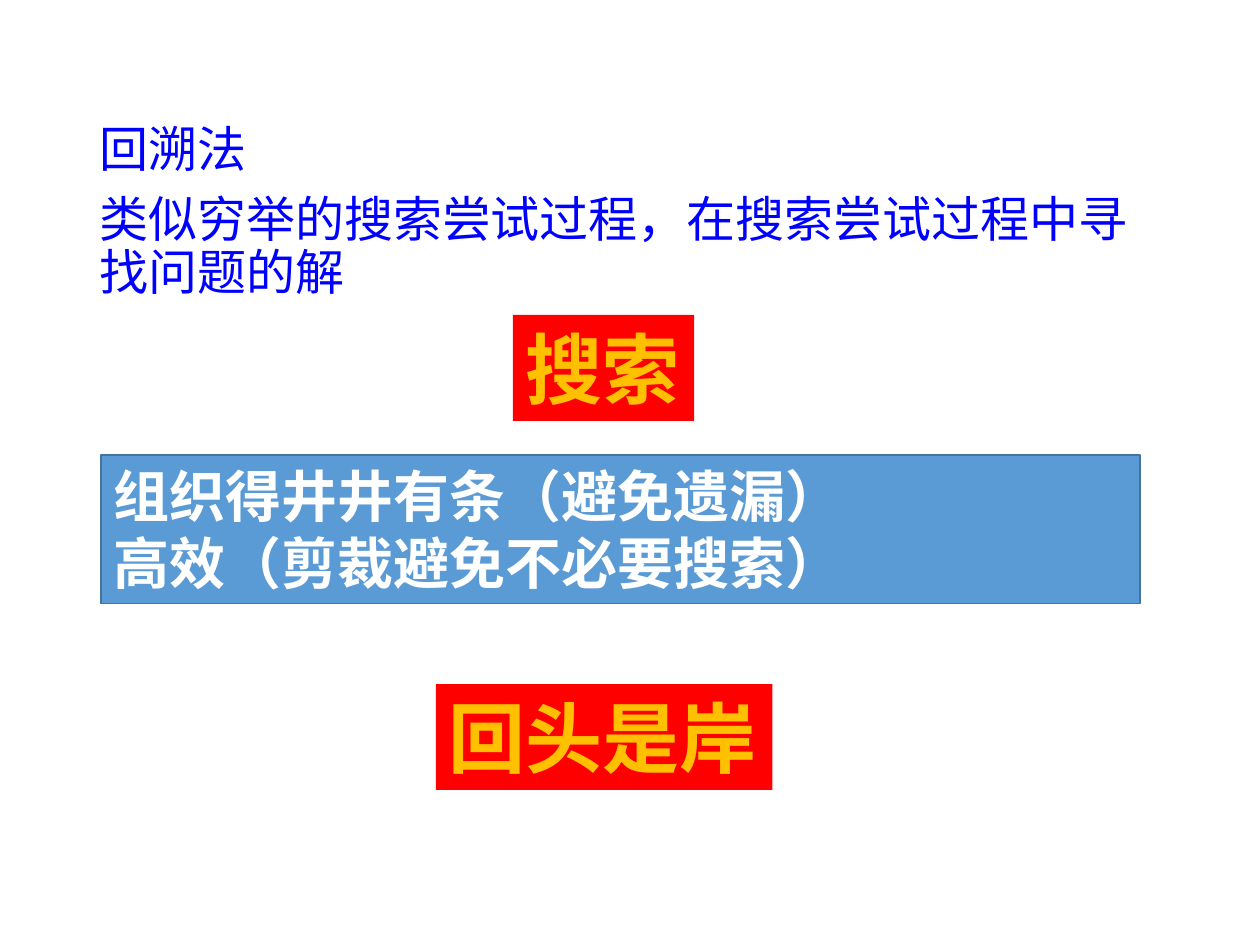
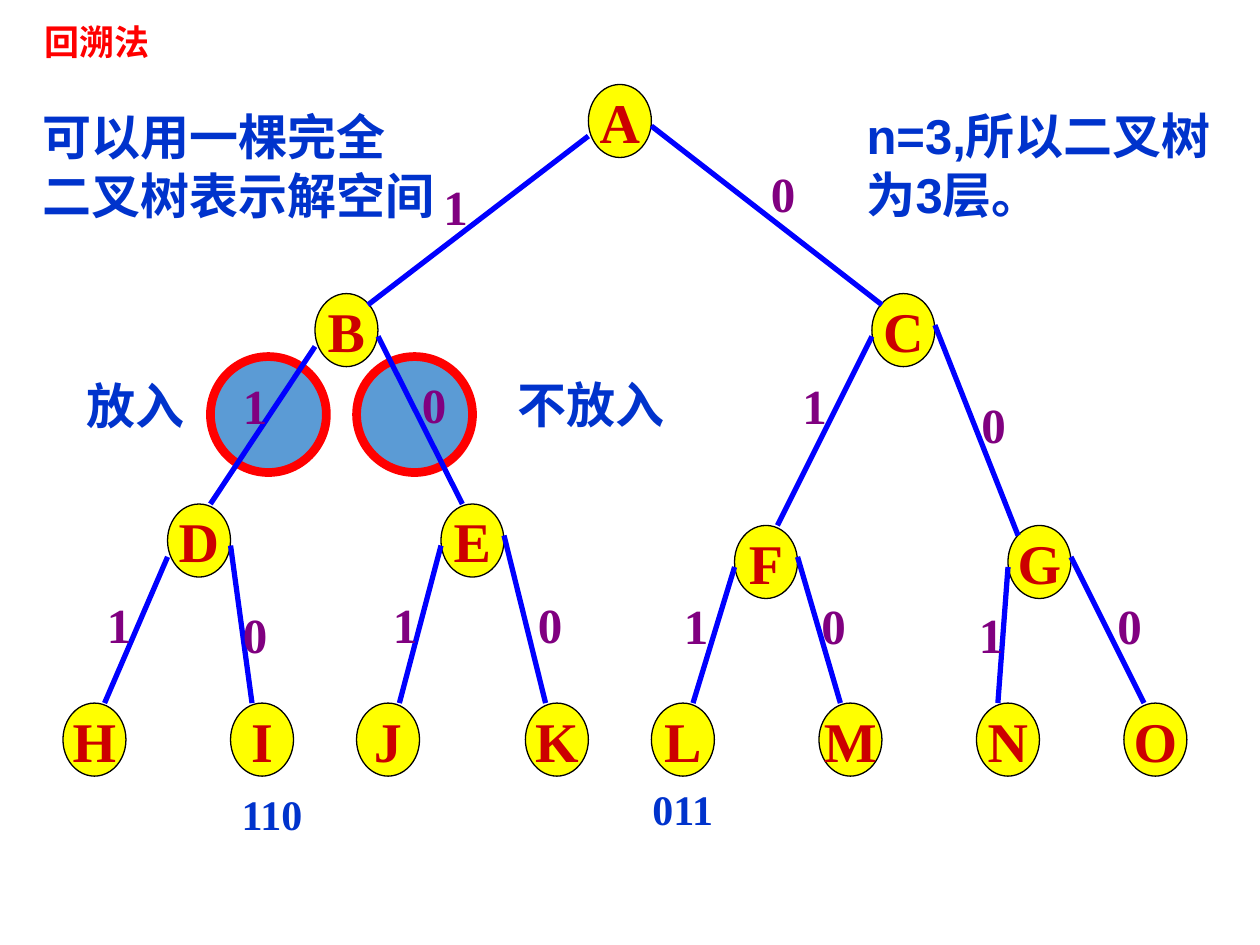
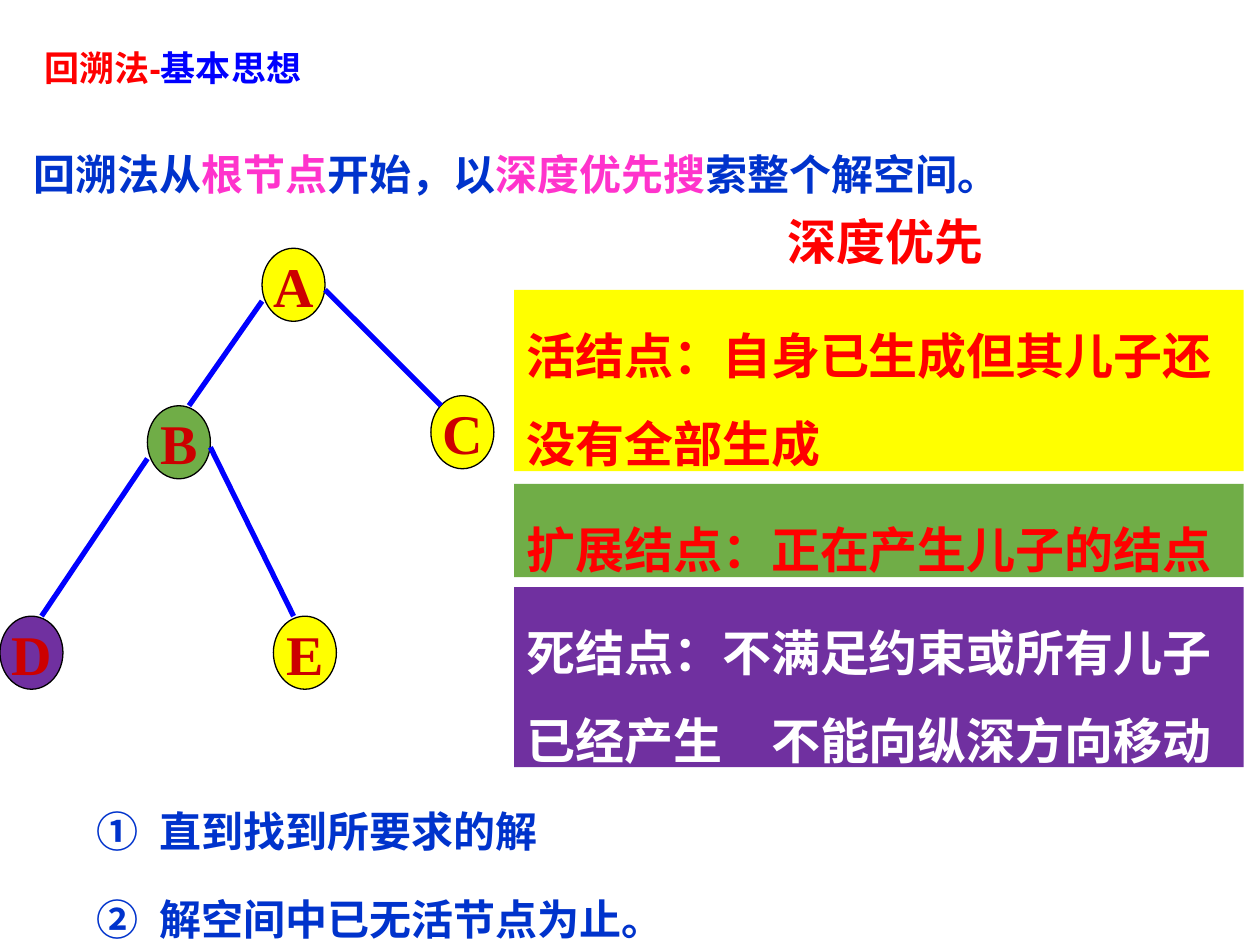
from dataclasses import dataclass, field

from lxml.etree import SubElement
from pptx import Presentation
from pptx.dml.color import RGBColor
from pptx.enum.shapes import MSO_CONNECTOR, MSO_SHAPE
from pptx.enum.text import MSO_ANCHOR, MSO_AUTO_SIZE, PP_ALIGN
from pptx.oxml.ns import qn
from pptx.util import Inches, Pt

HAN = "Noto Sans CJK SC"
SERIF = "Times New Roman"
RED, BLUE, NAVY, PINK = "FF0000", "0000FF", "0033CC", "FF33CC"
YELLOW, GOLD, GREEN, PURPLE = "FFFF00", "FFC000", "70AD47", "7030A0"
SKY, WHITE, BLACK = "5B9BD5", "FFFFFF", "000000"
NODE_W, NODE_H = 0.5, 0.58
BIT_W, BIT_H = 0.4, 0.57

Box = tuple[float, float, float, float]
Para = str | list[tuple[str, str]]


@dataclass
class Style:
    """Look of a piece of text."""
    size: int
    name: str
    color: str
    bold: bool = True
    para: dict = field(default_factory=dict)


@dataclass
class Node:
    """Tree node, placed by its top left corner."""
    name: str
    x: float
    y: float
    fill: str = YELLOW


@dataclass
class Edge:
    """Branch from the side of one node to the top of another."""
    top: str
    end: str
    drop: float
    reach: float
    sink: float = 0
    bit: tuple[float, float] | None = None


HEAD = Style(20, "Arial", RED, para={"alignment": PP_ALIGN.LEFT})
LEAD = Style(28, HAN, BLUE, False, {"line_spacing": 0.9, "space_before": Pt(10)})
SLOGAN = Style(44, "Calibri", GOLD)
POINT = Style(32, "Calibri", WHITE)
LETTER = Style(32, SERIF, "CC0000", para={"alignment": PP_ALIGN.CENTER})
BIT = Style(28, SERIF, "800080")
CODE = Style(24, SERIF, NAVY)
NOTE = Style(28, "Arial", NAVY)
ORDER = Style(28, "Arial", RED)
IDEA = Style(24, HAN, NAVY, para={"line_spacing": 1.75})
TERM = {"line_spacing": 1.5}


def rgb(code: str) -> RGBColor:
    """Turn a hex string into a colour."""
    return RGBColor.from_string(code)


def place(shape, box: Box) -> None:
    """Move and size a shape."""
    for key, value in zip(("left", "top", "width", "height"), box):
        setattr(shape, key, Inches(value))


def write(shape, paras: list[Para], style: Style, wrap: bool = True,
          grow: bool = True, anchor=MSO_ANCHOR.TOP) -> None:
    """Fill a shape with styled paragraphs."""
    frame = shape.text_frame
    frame.word_wrap = wrap
    frame.auto_size = MSO_AUTO_SIZE.SHAPE_TO_FIT_TEXT if grow else MSO_AUTO_SIZE.NONE
    frame.vertical_anchor = anchor
    for i, runs in enumerate(paras):
        para = frame.add_paragraph() if i else frame.paragraphs[0]
        for key, value in ({"alignment": PP_ALIGN.LEFT} | style.para).items():
            setattr(para, key, value)
        for text, color in [(runs, style.color)] if isinstance(runs, str) else runs:
            run = para.add_run()
            run.text = text
            look = {"size": Pt(style.size), "name": style.name, "bold": style.bold}
            for key, value in look.items():
                setattr(run.font, key, value)
            run.font.color.rgb = rgb(color)
            SubElement(run.font._element, qn("a:ea"), typeface=HAN)


def bullet(shape, indent: float, tag: str, **attrs: str) -> None:
    """Give every paragraph a hanging indent and a bullet kind."""
    for para in shape.text_frame.paragraphs:
        props = para._p.get_or_add_pPr()
        props.set("marL", str(Inches(indent)))
        props.set("indent", str(-Inches(indent)))
        SubElement(props, qn(tag), **attrs)


def text(slide, box: Box, paras: list[Para], style: Style, wrap: bool = True):
    """Add a text box."""
    shape = slide.shapes.add_textbox(*map(Inches, box))
    write(shape, paras, style, wrap)
    return shape


def block(slide, kind, box: Box, fill: str, line: str | None = None, width: float = 1):
    """Add a filled shape, outlined if a line colour is given."""
    shape = slide.shapes.add_shape(kind, *map(Inches, box))
    shape.shadow.inherit = False
    shape.fill.solid()
    shape.fill.fore_color.rgb = rgb(fill)
    if line:
        shape.line.color.rgb = rgb(line)
        shape.line.width = Pt(width)
    else:
        shape.line.fill.background()
    return shape


def title(slide, box: Box, runs: Para) -> None:
    """Move and fill the title placeholder."""
    place(slide.shapes.title, box)
    write(slide.shapes.title, [runs], HEAD)


def tree(slide, nodes: list[Node], edges: list[Edge]) -> None:
    """Draw nodes, then branches, then their bits."""
    spots = {node.name: node for node in nodes}
    for node in nodes:
        shape = block(slide, MSO_SHAPE.OVAL, (node.x, node.y, NODE_W, NODE_H),
                      node.fill, BLACK, 0.75)
        write(shape, [node.name], LETTER, False, False, MSO_ANCHOR.MIDDLE)
    for edge in edges:
        top, end = spots[edge.top], spots[edge.end]
        left = end.x < top.x or edge.reach > 0.3
        ends = (top.x + (0 if left else NODE_W), top.y + edge.drop,
                end.x + edge.reach, end.y + edge.sink)
        line = slide.shapes.add_connector(MSO_CONNECTOR.STRAIGHT, *map(Inches, ends))
        line.line.color.rgb = rgb(BLUE)
        line.line.width = Pt(3)
        SubElement(line._element.spPr, qn("a:effectLst"))
        if edge.bit:
            text(slide, (*edge.bit, BIT_W, BIT_H), ["1" if left else "0"], BIT, False)


def intro(deck) -> None:
    """Build the opening slide."""
    slide = deck.slides.add_slide(deck.slide_layouts[1])
    head = slide.shapes.title._element
    head.getparent().remove(head)
    body = slide.placeholders[1]
    place(body, (0.69, 0.94, 8.62, 1.7))
    write(body, ["回溯法", "类似穷举的搜索尝试过程，在搜索尝试过程中寻找问题的解"], LEAD, grow=False)
    bullet(body, 0, "a:buNone")
    points = block(slide, MSO_SHAPE.RECTANGLE, (0.8, 3.61, 8.25, 1.18), SKY, "43739E")
    write(points, ["组织得井井有条（避免遗漏）", "高效（剪裁避免不必要搜索）"], POINT)
    for word, box in (("搜索", (4.07, 2.5, 1.44, 0.84)),
                      ("回头是岸", (3.46, 5.43, 2.67, 0.84))):
        shape = block(slide, MSO_SHAPE.RECTANGLE, box, RED)
        write(shape, [word], SLOGAN, False)


def space(deck) -> None:
    """Build the solution space slide."""
    slide = deck.slides.add_slide(deck.slide_layouts[5])
    title(slide, (0.25, 0.11, 1.5, 0.43), "回溯法")
    for x in (2.83, 1.67):
        block(slide, MSO_SHAPE.OVAL, (x, 2.83, 0.92, 0.92), SKY, RED, 5)
    inner = [Node("A", 4.67, 0.67), Node("B", 2.5, 2.33), Node("C", 6.92, 2.33),
             Node("D", 1.33, 4), Node("E", 3.5, 4), Node("F", 5.83, 4.17),
             Node("G", 8, 4.17)]
    leaves = [Node(name, x, 5.58) for name, x in zip(
        "HIJKLMNO", (0.5, 1.83, 2.83, 4.17, 5.17, 6.5, 7.75, 8.92))]
    tree(slide, inner + leaves, [
        Edge("A", "B", 0.41, 0.42, 0.09, (3.42, 1.35)),
        Edge("A", "C", 0.33, 0.08, 0.09, (6.02, 1.25)),
        Edge("B", "D", 0.42, 0.34, bit=(1.83, 2.93)),
        Edge("B", "E", 0.34, 0.17, bit=(3.25, 2.92)),
        Edge("C", "F", 0.34, 0.34, bit=(6.27, 2.93)),
        Edge("C", "G", 0.25, 0.08, 0.08, (7.69, 3.08)),
        Edge("D", "H", 0.42, 0.33, bit=(0.75, 4.67)),
        Edge("D", "I", 0.33, 0.17, bit=(1.83, 4.75)),
        Edge("E", "J", 0.33, 0.34, bit=(3.02, 4.67)),
        Edge("E", "K", 0.25, 0.16, bit=(4.17, 4.67)),
        Edge("F", "L", 0.33, 0.33, bit=(5.33, 4.68)),
        Edge("F", "M", 0.25, 0.17, bit=(6.42, 4.68)),
        Edge("G", "N", 0.33, 0.17, bit=(7.67, 4.75)),
        Edge("G", "O", 0.25, 0.16, bit=(8.77, 4.68)),
    ])
    text(slide, (1.82, 6.21, 0.7, 0.5), ["110"], CODE, False)
    text(slide, (5.08, 6.17, 0.7, 0.5), ["011"], CODE, False)
    text(slide, (0.24, 0.8, 3.36, 1.04), ["可以用一棵完全", "二叉树表示解空间"], NOTE, False)
    text(slide, (6.78, 0.79, 2.97, 1.04), ["n=3,所以二叉树", "为3层。"], NOTE)
    text(slide, (0.59, 2.93, 0.99, 0.57), ["放入"], NOTE, False)
    text(slide, (4.01, 2.92, 1.39, 0.57), ["不放入"], NOTE, False)


def idea(deck) -> None:
    """Build the basic idea slide."""
    slide = deck.slides.add_slide(deck.slide_layouts[5])
    title(slide, (0.25, 0.32, 2.75, 0.43), [("回溯法-", RED), ("基本思想", BLUE)])
    nodes = [Node("A", 2.08, 1.97), Node("B", 1.17, 3.22, GREEN),
             Node("D", 0, 4.89, PURPLE), Node("E", 2.17, 4.89), Node("C", 3.42, 3.14)]
    tree(slide, nodes, [
        Edge("A", "B", 0.42, 0.33),
        Edge("B", "D", 0.42, 0.33),
        Edge("B", "E", 0.33, 0.16),
        Edge("A", "C", 0.33, 0.08, 0.08),
    ])
    text(slide, (6.15, 1.63, 2.42, 0.57), ["深度优先"], ORDER)
    text(slide, (0.17, 0.83, 9.33, 0.71), [[
        ("回溯法从", NAVY), ("根节点", PINK), ("开始，以", NAVY),
        ("深度优先搜", PINK), ("索整个解空间。", NAVY)]], IDEA)
    stops = text(slide, (0.67, 6.04, 5.42, 1.51),
                 ["直到找到所要求的解", "解空间中已无活节点为止。"], IDEA)
    bullet(stops, 0.5, "a:buAutoNum", type="circleNumDbPlain")
    for y, high, fill, color, term in (
            (2.3, 1.44, YELLOW, RED, "活结点：自身已生成但其儿子还没有全部生成"),
            (3.84, 0.74, GREEN, RED, "扩展结点：正在产生儿子的结点"),
            (4.66, 1.43, PURPLE, WHITE, "死结点：不满足约束或所有儿子已经产生　不能向纵深方向移动")):
        shape = block(slide, MSO_SHAPE.RECTANGLE, (4.08, y, 5.79, high), fill)
        write(shape, [term], Style(28, "Calibri", color, para=TERM))


def main() -> None:
    """Build and save the deck."""
    deck = Presentation()
    deck.slide_width, deck.slide_height = Inches(10), Inches(7.5)
    for build in (intro, space, idea):
        build(deck)
    deck.save("out.pptx")


if __name__ == "__main__":
    main()
